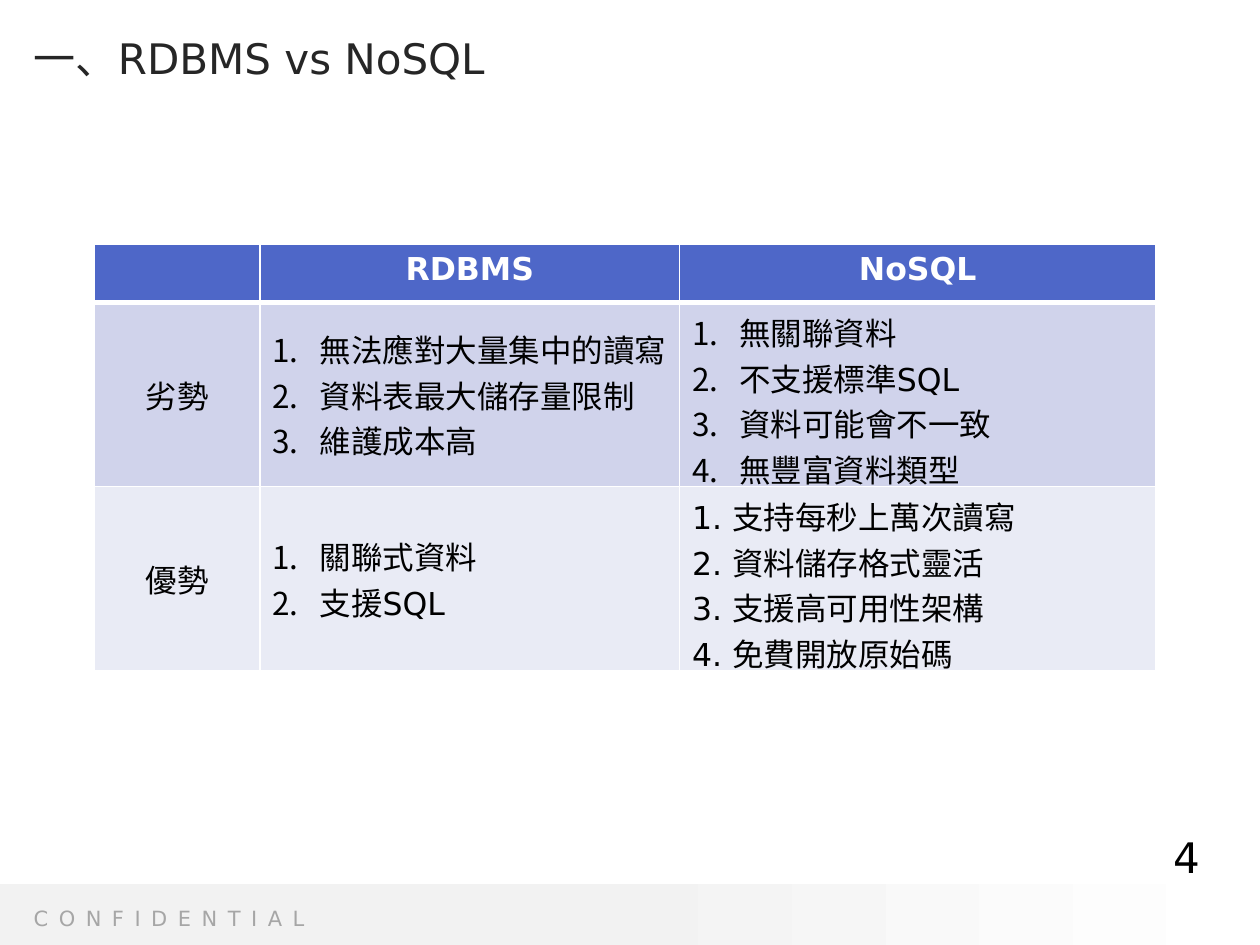
from lxml.etree import SubElement
from pptx import Presentation
from pptx.dml.color import RGBColor
from pptx.enum.shapes import MSO_SHAPE
from pptx.enum.text import MSO_ANCHOR, PP_ALIGN
from pptx.oxml.ns import qn
from pptx.util import Cm, Pt


def color(value):
    return RGBColor.from_string(value)


class Deck:
    LATIN = "DejaVu Sans"
    CJK = "Noto Sans CJK SC"
    HEADER = "4E67C8"
    WHITE = "FFFFFF"
    BLACK = "000000"

    def __init__(self):
        self.file = Presentation()
        self.file.slide_width, self.file.slide_height = Cm(25.4), Cm(19.05)
        self.page = self.file.slides.add_slide(self.file.slide_layouts[5])

    def add_span(self, para, text, size, ink, bold=False, font=LATIN, spacing=0):
        span = para.add_run()
        span.text = text
        span.font.size, span.font.bold = Pt(size), bold
        span.font.color.rgb = color(ink)
        span.font.name = font
        properties = span._r.get_or_add_rPr()
        SubElement(properties, qn("a:ea")).set("typeface", self.CJK)
        if spacing:
            properties.set("spc", str(spacing * 100))

    def title(self, text, left, top, width, height):
        box = self.page.shapes.title
        box.left, box.top, box.width, box.height = map(Cm, (left, top, width, height))
        frame = box.text_frame
        frame.vertical_anchor = MSO_ANCHOR.MIDDLE
        para = frame.paragraphs[0]
        para.alignment = PP_ALIGN.LEFT
        para.line_spacing = 0.9
        self.add_span(para, text, 24, "262626")

    def band(self, left, top, width, height, start, end):
        box = self.page.shapes.add_shape(
            MSO_SHAPE.RECTANGLE, *map(Cm, (left, top, width, height)))
        box.shadow.inherit = False
        box.line.fill.background()
        box.fill.gradient()
        box.fill.gradient_angle = 0
        for stop, (position, value) in zip(box.fill.gradient_stops, (start, end)):
            stop.position, stop.color.rgb = position, color(value)

    def label(self, text, left, top, width, height, size, ink,
              align=PP_ALIGN.LEFT, spacing=0):
        box = self.page.shapes.add_textbox(*map(Cm, (left, top, width, height)))
        box.text_frame.word_wrap = True
        para = box.text_frame.paragraphs[0]
        para.alignment = align
        self.add_span(para, text, size, ink, spacing=spacing)

    def number(self, para):
        properties = para._p.get_or_add_pPr()
        indent = Cm(0.95)
        properties.set("marL", str(int(indent)))
        properties.set("indent", str(-int(indent)))
        SubElement(properties, qn("a:buFont")).set("typeface", "+mj-lt")
        SubElement(properties, qn("a:buAutoNum")).set("type", "arabicPeriod")

    def borders(self, cell, widths):
        properties = cell._tc.get_or_add_tcPr()
        for side, width in widths.items():
            line = SubElement(properties, qn(f"a:ln{side}"), w=str(int(Pt(width))))
            fill = SubElement(line, qn("a:solidFill"))
            SubElement(fill, qn("a:srgbClr")).set("val", self.WHITE)

    def table(self, left, top, columns, heights, rows, fills):
        grid = self.page.shapes.add_table(
            len(rows), len(columns), Cm(left), Cm(top),
            Cm(sum(columns)), Cm(sum(heights))).table
        grid.horz_banding = False
        for column, width in zip(grid.columns, columns):
            column.width = Cm(width)
        for row, height in zip(grid.rows, heights):
            row.height = Cm(height)
        for r, row in enumerate(rows):
            for c, lines in enumerate(row):
                cell = grid.cell(r, c)
                self.borders(cell, {"L": 1, "R": 1, "T": 3 if r == 1 else 1,
                                    "B": 3 if r == 0 else 1})
                cell.fill.solid()
                cell.fill.fore_color.rgb = color(fills[r])
                cell.vertical_anchor = MSO_ANCHOR.MIDDLE if r else MSO_ANCHOR.TOP
                self.fill_cell(cell, lines, header=r == 0, heading=c == 0)

    def fill_cell(self, cell, lines, header, heading):
        frame = cell.text_frame
        for i, text in enumerate(lines):
            para = frame.paragraphs[0] if i == 0 else frame.add_paragraph()
            if header or heading:
                para.alignment = PP_ALIGN.CENTER
            elif not text[0].isdigit():
                self.number(para)
            self.add_span(para, text, 18, self.WHITE if header else self.BLACK,
                          bold=header, font=self.CJK if heading else self.LATIN)


def main():
    deck = Deck()

    # Footer
    deck.band(0, 17.83, 25.4, 1.29, (0.48, "F2F2F2"), (1, "FFFFFF"))
    deck.label("CONFIDENTIAL", 0.43, 18.14, 10.46, 0.76, 12, "A6A6A6", spacing=6)

    # Comparison table
    rows = [
        [[], ["RDBMS"], ["NoSQL"]],
        [["劣勢"],
         ["無法應對大量集中的讀寫", "資料表最大儲存量限制", "維護成本高"],
         ["無關聯資料", "不支援標準SQL", "資料可能會不一致", "無豐富資料類型"]],
        [["優勢"],
         ["關聯式資料", "支援SQL"],
         ["1. 支持每秒上萬次讀寫", "2. 資料儲存格式靈活",
          "3. 支援高可用性架構", "4. 免費開放原始碼"]],
    ]
    deck.table(1.91, 4.93, [3.33, 8.46, 9.6], [1.17, 3.71, 3.71], rows,
               [Deck.HEADER, "D0D3EB", "E9EBF5"])

    # Page number and title
    deck.label("4", 18.72, 16.64, 5.72, 1.02, 24, Deck.BLACK, PP_ALIGN.RIGHT)
    deck.title("一、RDBMS vs NoSQL", 0.43, 0.36, 24.54, 1.75)

    deck.file.save("out.pptx")


if __name__ == "__main__":
    main()
